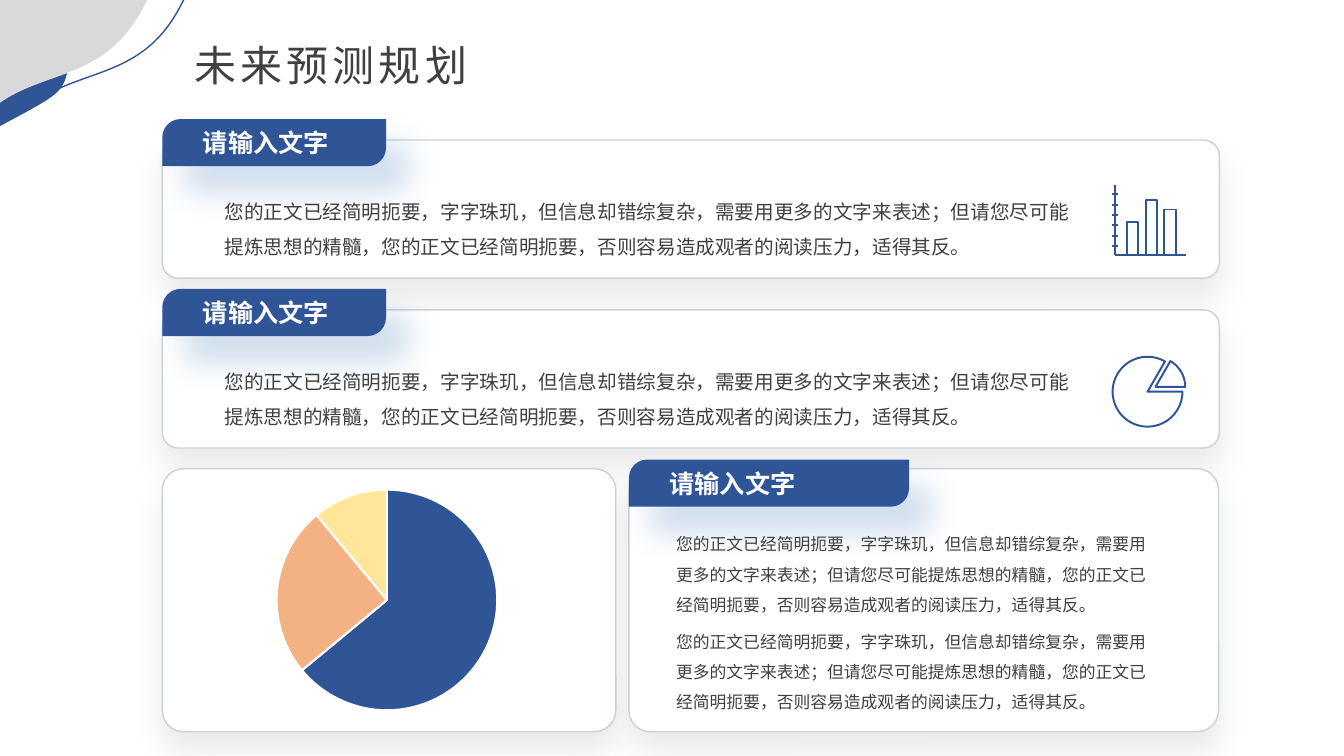
import dataclasses
import math

import lxml.etree
import pptx
import pptx.chart.data
import pptx.dml.color
import pptx.enum.chart
import pptx.enum.shapes
import pptx.enum.text
import pptx.oxml.ns
import pptx.util

Cm = pptx.util.Cm
Pt = pptx.util.Pt
RGBColor = pptx.dml.color.RGBColor
Shapes = pptx.enum.shapes.MSO_SHAPE
Point = tuple[float, float]
qn = pptx.oxml.ns.qn

BLUE = RGBColor(0x2F, 0x55, 0x97)
GREY = RGBColor(0xD9, 0xD9, 0xD9)
INK = RGBColor(0x40, 0x40, 0x40)
WHITE = RGBColor(0xFF, 0xFF, 0xFF)
BORDER = RGBColor(0xCA, 0xD1, 0xDB)
ORANGE = RGBColor(0xF4, 0xB1, 0x83)
YELLOW = RGBColor(0xFF, 0xE6, 0x99)
CARD_SHADE = RGBColor(0x3B, 0x38, 0x38)
TAB_SHADE = RGBColor(0x0B, 0x54, 0xA2)

FONT = "Noto Sans CJK SC"
HEADING = "请输入文字"
BODY = ("您的正文已经简明扼要，字字珠玑，但信息却错综复杂，需要用更多的文字来表述；"
        "但请您尽可能提炼思想的精髓，您的正文已经简明扼要，否则容易造成观者的阅读压力，适得其反。")


@dataclasses.dataclass
class Box:
    left: float
    top: float
    width: float
    height: float

    def place(self) -> tuple:
        return Cm(self.left), Cm(self.top), Cm(self.width), Cm(self.height)


@dataclasses.dataclass
class Shadow:
    colour: RGBColor
    opacity: int
    blur: float
    distance: float
    angle: int


@dataclasses.dataclass
class Panel:
    card: Box
    radius: float
    tab: Box | None
    bodies: list[Box]
    body_size: int


CARD_SHADOW = Shadow(CARD_SHADE, 10, 20, 13, 90)
TAB_SHADOW = Shadow(TAB_SHADE, 19, 22, 25, 50)
ROW_STEP = 4.28
PANELS = [
    Panel(Box(4.09, 3.53 + row * ROW_STEP, 26.64, 3.48), 0.113,
          Box(4.09, 3.0 + row * ROW_STEP, 5.64, 1.19),
          [Box(5.41, 4.62 + row * ROW_STEP, 21.87, 1.98)], 14)
    for row in range(2)
] + [
    Panel(Box(4.09, 11.81, 11.43, 6.63), 0.081, None, [], 12),
    Panel(Box(15.85, 11.81, 14.86, 6.63), 0.081, Box(15.85, 11.58, 7.06, 1.19),
          [Box(16.79, top, 12.62, 2.49) for top in (13.08, 15.54)], 12),
]


def style_text(para, text: str, size: int, colour: RGBColor, bold: bool = False, spacing: int = 0) -> None:
    para.text = text
    font = para.font
    font.name, font.size, font.bold = FONT, Pt(size), bold
    font.color.rgb = colour
    properties = para._p.pPr.find(qn("a:defRPr"))
    properties.set("spc", str(spacing * 100))
    lxml.etree.SubElement(properties, qn("a:ea"), typeface=FONT)


def add_text(page, box: Box, text: str, size: int, line_spacing: float = 1, spacing: int = 0) -> None:
    frame = page.shapes.add_textbox(*box.place()).text_frame
    frame.word_wrap = True
    frame.auto_size = pptx.enum.text.MSO_AUTO_SIZE.SHAPE_TO_FIT_TEXT
    para = frame.paragraphs[0]
    para.line_spacing = line_spacing
    style_text(para, text, size, INK, spacing=spacing)


def paint(shape, fill: RGBColor | None, line: RGBColor | None, width: float = 1) -> None:
    shape.shadow.inherit = False
    if fill is None:
        shape.fill.background()
    else:
        shape.fill.solid()
        shape.fill.fore_color.rgb = fill
    if line is None:
        shape.line.fill.background()
    else:
        shape.line.color.rgb = line
        shape.line.width = Pt(width)


def cast_shadow(shape, shadow: Shadow) -> None:
    effects = shape._element.spPr.find(qn("a:effectLst"))
    outer = lxml.etree.SubElement(
        effects, qn("a:outerShdw"), blurRad=str(Pt(shadow.blur)), dist=str(Pt(shadow.distance)),
        dir=str(shadow.angle * 60000), algn="t", rotWithShape="0")
    colour = lxml.etree.SubElement(outer, qn("a:srgbClr"), val=str(shadow.colour))
    lxml.etree.SubElement(colour, qn("a:alpha"), val=str(shadow.opacity * 1000))


def add_panel(page, panel: Panel) -> None:
    card = page.shapes.add_shape(Shapes.ROUNDED_RECTANGLE, *panel.card.place())
    card.adjustments[0] = panel.radius
    paint(card, WHITE, BORDER)
    cast_shadow(card, CARD_SHADOW)
    if panel.tab:
        tab = page.shapes.add_shape(Shapes.ROUND_2_DIAG_RECTANGLE, *panel.tab.place())
        tab.adjustments[0], tab.adjustments[1] = 0.39, 0
        paint(tab, BLUE, None)
        cast_shadow(tab, TAB_SHADOW)
        frame = tab.text_frame
        frame.margin_left = Cm(0.89)
        frame.vertical_anchor = pptx.enum.text.MSO_ANCHOR.MIDDLE
        frame.paragraphs[0].alignment = pptx.enum.text.PP_ALIGN.LEFT
        style_text(frame.paragraphs[0], HEADING, 18, WHITE, bold=True)
    for body in panel.bodies:
        add_text(page, body, BODY, panel.body_size, line_spacing=1.5)


def curve(start: Point, first: Point, second: Point, end: Point, steps: int = 40) -> list[Point]:
    def at(t: float, axis: int) -> float:
        u = 1 - t
        return (u ** 3 * start[axis] + 3 * u * u * t * first[axis]
                + 3 * u * t * t * second[axis] + t ** 3 * end[axis])
    return [(at(i / steps, 0), at(i / steps, 1)) for i in range(steps + 1)]


def sector(centre: Point, radius: float, start: int, end: int) -> list[Point]:
    angles = [math.radians(angle) for angle in range(start, end + 1, 4)]
    return [centre] + [(centre[0] + radius * math.cos(a), centre[1] - radius * math.sin(a)) for a in angles]


def add_outline(page, points: list[Point], fill: RGBColor | None, line: RGBColor | None,
                width: float = 1, close: bool = True) -> None:
    corners = [(Cm(x), Cm(y)) for x, y in points]
    builder = page.shapes.build_freeform(*corners[0])
    builder.add_line_segments(corners[1:], close=close)
    paint(builder.convert_to_shape(), fill, line, width)


def add_line(page, x1: float, y1: float, x2: float, y2: float) -> None:
    line = page.shapes.add_connector(pptx.enum.shapes.MSO_CONNECTOR.STRAIGHT, Cm(x1), Cm(y1), Cm(x2), Cm(y2))
    line.line.color.rgb = BLUE
    line.line.width = Pt(1.4)
    lxml.etree.SubElement(line._element.spPr, qn("a:effectLst"))


def add_bar_icon(page) -> None:
    add_line(page, 28.09, 4.65, 28.09, 6.43)
    add_line(page, 28.09, 6.43, 29.9, 6.43)
    for tick in range(6):
        y = 4.9 + tick * 0.26
        add_line(page, 28.02, y, 28.17, y)
    for index, top in enumerate((5.6, 5.03, 5.28)):
        bar = Box(28.4 + index * 0.47, top, 0.29, 6.43 - top)
        paint(page.shapes.add_shape(Shapes.RECTANGLE, *bar.place()), None, BLUE, 1.4)


def add_pie_chart(page, box: Box) -> None:
    data = pptx.chart.data.CategoryChartData()
    data.categories = ["1", "2", "3"]
    data.add_series("Series 1", (64, 25, 11))
    chart = page.shapes.add_chart(pptx.enum.chart.XL_CHART_TYPE.PIE, *box.place(), data).chart
    chart.has_title = chart.has_legend = False
    chart.font.name, chart.font.size = FONT, Pt(10)
    plot = chart.plots[0]
    plot.vary_by_categories = True
    for index, colour in enumerate((BLUE, ORANGE, YELLOW)):
        form = plot.series[0].points[index].format
        form.fill.solid()
        form.fill.fore_color.rgb = colour
        form.line.color.rgb = WHITE
        form.line.width = Pt(1.5)
    # Fixed plot area
    area = chart._chartSpace.chart.plotArea
    for old in area.findall(qn("c:layout")):
        area.remove(old)
    layout = lxml.etree.Element(qn("c:layout"))
    manual = lxml.etree.SubElement(layout, qn("c:manualLayout"))
    for name, value in (("layoutTarget", "inner"), ("xMode", "edge"), ("yMode", "edge"),
                        ("x", "0.2"), ("y", "0.06"), ("w", "0.59"), ("h", "0.88")):
        lxml.etree.SubElement(manual, qn("c:" + name), val=value)
    area.insert(0, layout)


def main() -> None:
    deck = pptx.Presentation()
    deck.slide_width, deck.slide_height = Cm(33.87), Cm(19.05)
    page = deck.slides.add_slide(deck.slide_layouts[6])
    # Corner waves
    add_outline(page, curve((0.94, 2.54), (2.18, 1.68), (3.71, 1.98), (4.65, -0.05)), None, BLUE, close=False)
    add_outline(page, curve((0, 3.18), (2.16, 2.01), (1.47, 2.51), (1.98, 0)) + [(0, 0)], BLUE, None)
    add_outline(page, curve((0, 2.59), (1.24, 1.73), (2.74, 2.03), (3.71, 0)) + [(0, 0)], GREY, None)
    # Title and panels
    add_text(page, Box(4.65, 0.86, 8.71, 1.55), "未来预测规划", 30, spacing=3)
    for panel in PANELS:
        add_panel(page, panel)
    # Icons
    add_bar_icon(page)
    add_outline(page, sector((28.92, 9.87), 0.88, 60, 360), None, BLUE, 1.4)
    add_outline(page, sector((29.12, 9.75), 0.75, 0, 60), None, BLUE, 1.4)
    # Chart
    add_pie_chart(page, Box(5.05, 11.96, 9.5, 6.32))
    deck.save("out.pptx")


if __name__ == "__main__":
    main()
